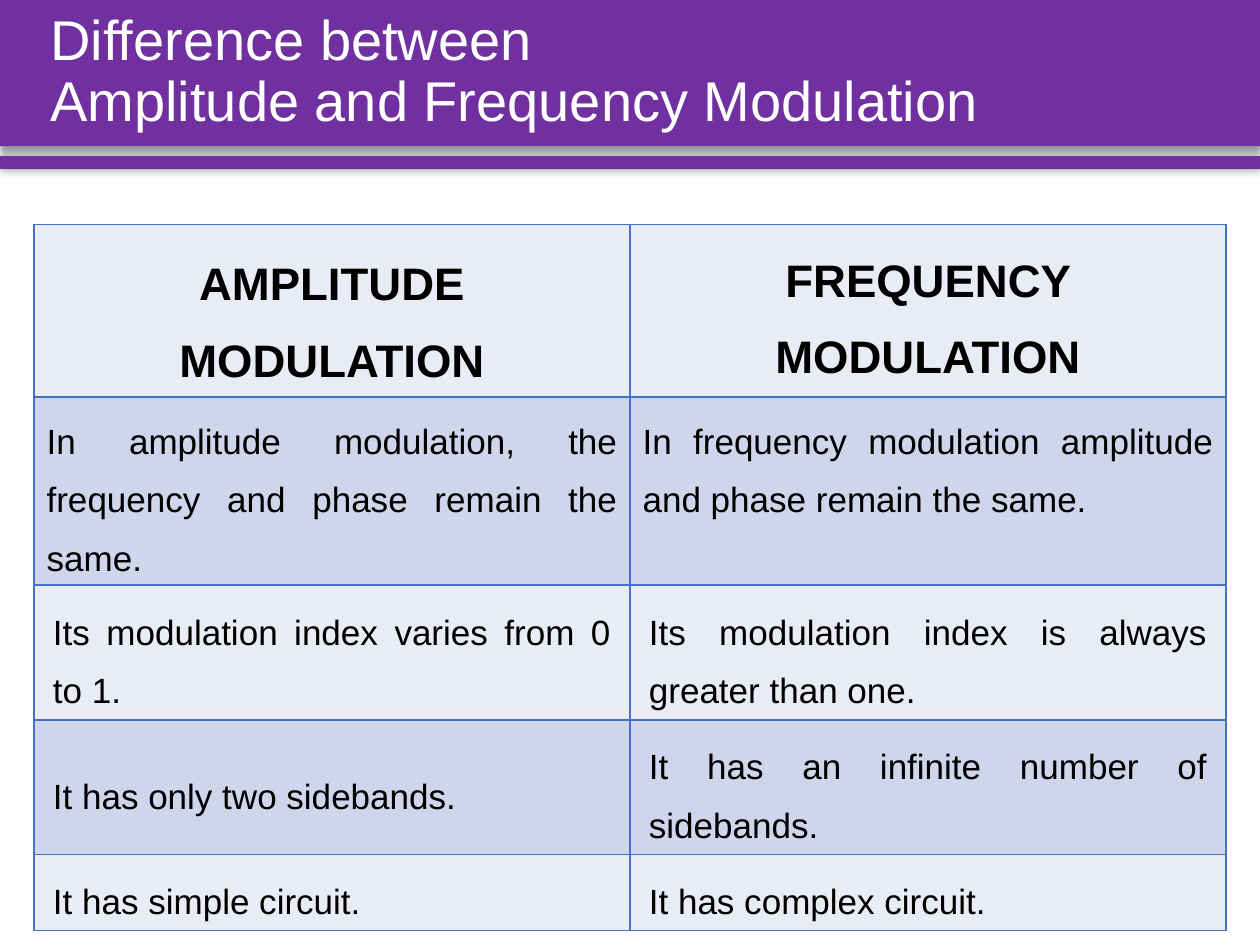
from typing import NamedTuple

from lxml import etree
from pptx import Presentation
from pptx.dml.color import RGBColor
from pptx.enum import shapes, text
from pptx.oxml import ns
from pptx.util import Inches, Pt

WIDTH, HEIGHT = 10, 7.5
PURPLE, BORDER, WHITE, BLACK = "7030A0", "4472C4", "FFFFFF", "000000"
BANDS = ("E9EBF5", "CFD5EA")
FONT = "Arial"


class Bar(NamedTuple):
    top: float
    height: float
    blur: float
    distance: float
    angle: int


class CellStyle(NamedTuple):
    anchor: text.MSO_ANCHOR
    side: float
    vertical: float


class Row(NamedTuple):
    height: float
    texts: tuple[str, str]
    styles: tuple[CellStyle, CellStyle]


PLAIN = CellStyle(text.MSO_ANCHOR.TOP, 0.1, 0.05)
HEADING = CellStyle(text.MSO_ANCHOR.MIDDLE, 0.08, 0.08)
PADDED = CellStyle(text.MSO_ANCHOR.MIDDLE, 0.15, 0.07)

BARS = (Bar(0, 1.16, 4, 3, 90), Bar(1.24, 0.1, 5, 0, 0))
ROWS = (
    Row(0.69, ("AMPLITUDE MODULATION", "FREQUENCY MODULATION"), (HEADING, PLAIN)),
    Row(0.87, ("In amplitude modulation, the frequency and phase remain the same. ",
               "In frequency modulation amplitude and phase remain the same."), (PLAIN, PLAIN)),
    Row(0.91, ("Its modulation index varies from 0 to 1.",
               "Its modulation index is always greater than one."), (PADDED, PADDED)),
    Row(0.52, ("It has only two sidebands.",
               "It has an infinite number of sidebands."), (PADDED, PADDED)),
    Row(0.52, ("It has simple circuit.", "It has complex circuit."), (PADDED, PADDED)),
)


def color(value: str) -> RGBColor:
    return RGBColor.from_string(value)


def apply(target, values: dict) -> None:
    for name, value in values.items():
        setattr(target, name, value)


def add_child(parent, tag: str, **attributes):
    values = {name: str(value) for name, value in attributes.items()}
    return etree.SubElement(parent, ns.qn(tag), values)


def format_font(font, size: float, ink: str, bold: bool = False) -> None:
    apply(font, {"name": FONT, "size": Pt(size), "bold": bold})
    font.color.rgb = color(ink)


def draw_bar(page, bar: Bar) -> None:
    shape = page.shapes.add_shape(shapes.MSO_SHAPE.RECTANGLE, 0, Inches(bar.top),
                                  Inches(WIDTH), Inches(bar.height))
    shape.fill.solid()
    shape.fill.fore_color.rgb = color(PURPLE)
    shape.line.fill.background()
    shape.shadow.inherit = False
    effects = shape.element.spPr.find(ns.qn("a:effectLst"))
    shadow = add_child(effects, "a:outerShdw", blurRad=Pt(bar.blur), dist=Pt(bar.distance),
                       dir=bar.angle * 60000, algn="ctr", rotWithShape=0)
    add_child(add_child(shadow, "a:srgbClr", val=BLACK), "a:alpha", val=40000)


def draw_title(page) -> None:
    title = page.shapes.title
    apply(title, {"left": Inches(0.3), "top": 0,
                  "width": Inches(9.46), "height": Inches(BARS[0].height)})
    apply(title.text_frame, {"word_wrap": True, "auto_size": text.MSO_AUTO_SIZE.NONE,
                             "vertical_anchor": text.MSO_ANCHOR.MIDDLE})
    title.text_frame.text = "Difference between\vAmplitude and Frequency Modulation"
    para = title.text_frame.paragraphs[0]
    apply(para, {"alignment": text.PP_ALIGN.LEFT, "line_spacing": 0.9})
    for span in para.runs:
        format_font(span.font, 32, WHITE)
    # Bring the title in front of the bars
    page.shapes.element.append(title.element)


def fill_cell(cell, words: str, style: CellStyle, band: str, heading: bool) -> None:
    # Borders come before the fill in the cell properties
    properties = cell._tc.get_or_add_tcPr()
    for side in ("L", "R", "T", "B"):
        line = add_child(properties, f"a:ln{side}", w=Pt(1))
        add_child(add_child(line, "a:solidFill"), "a:srgbClr", val=BORDER)
    cell.fill.solid()
    cell.fill.fore_color.rgb = color(band)
    apply(cell, {"vertical_anchor": style.anchor,
                 "margin_left": Inches(style.side), "margin_right": Inches(style.side),
                 "margin_top": Inches(style.vertical), "margin_bottom": Inches(style.vertical)})
    para = cell.text_frame.paragraphs[0]
    apply(para, {"line_spacing": 1.5,
                 "alignment": text.PP_ALIGN.CENTER if heading else text.PP_ALIGN.JUSTIFY})
    span = para.add_run()
    span.text = words
    format_font(span.font, 26 if heading else 20, BLACK, heading)


def draw_table(page, rows: tuple[Row, ...]) -> None:
    margin = 0.27
    width = WIDTH - 2 * margin
    frame = page.shapes.add_table(len(rows), 2, Inches(margin), Inches(1.78), Inches(width),
                                  Inches(sum(row.height for row in rows)))
    table = frame.table
    for column in table.columns:
        column.width = Inches(width / 2)
    for index, row in enumerate(rows):
        table.rows[index].height = Inches(row.height)
        for column, (words, style) in enumerate(zip(row.texts, row.styles)):
            fill_cell(table.cell(index, column), words, style, BANDS[index % 2], index == 0)


def main() -> None:
    deck = Presentation()
    apply(deck, {"slide_width": Inches(WIDTH), "slide_height": Inches(HEIGHT)})
    page = deck.slides.add_slide(deck.slide_layouts[5])

    # Header bars, comparison table, title
    for bar in BARS:
        draw_bar(page, bar)
    draw_table(page, ROWS)
    draw_title(page)
    deck.save("out.pptx")


if __name__ == "__main__":
    main()
